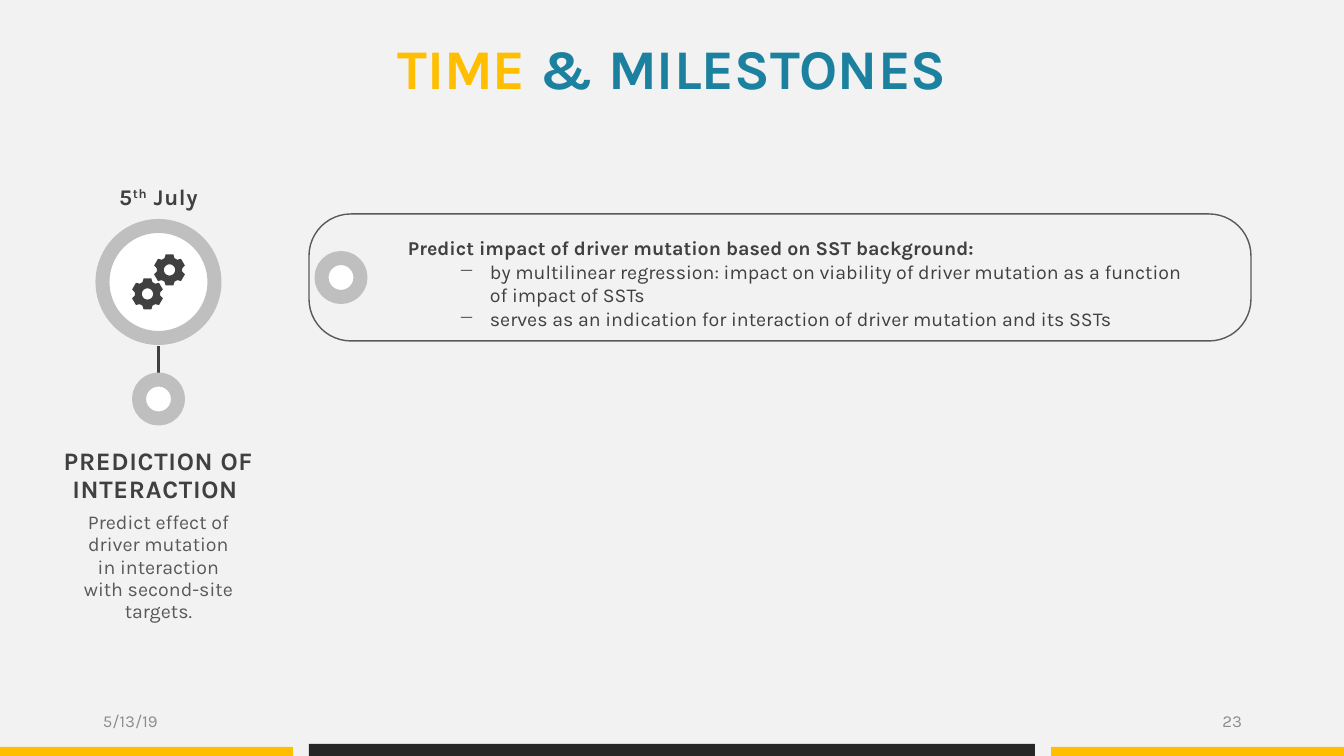
from math import cos, pi, sin

from lxml.etree import SubElement
from pptx import Presentation
from pptx.dml.color import RGBColor
from pptx.enum.shapes import MSO_CONNECTOR, MSO_SHAPE
from pptx.enum.text import MSO_ANCHOR, MSO_AUTO_SIZE, PP_ALIGN
from pptx.oxml.ns import qn
from pptx.util import Pt

EMU_PER_PX = 914400 / 100.8
FONT = "Karla"
YELLOW, TEAL, BLACK = "FFBE00", "1C819E", "262626"
DARK, MEDIUM, PALE, RING = "404040", "595959", "8C8C8C", "BFBFBF"


def px(length):
    return round(length * EMU_PER_PX)


def color(value):
    return RGBColor.from_string(value)


def set_font(paragraph, size, value, bold=False):
    font = paragraph.font
    font.name, font.size, font.bold = FONT, Pt(size), bold
    font.color.rgb = color(value)


def set_frame(shape, anchor=MSO_ANCHOR.TOP):
    frame = shape.text_frame
    frame.word_wrap = True
    frame.auto_size = MSO_AUTO_SIZE.NONE
    frame.vertical_anchor = anchor
    frame.margin_left = frame.margin_right = frame.margin_top = frame.margin_bottom = 0
    return frame


def add_run(paragraph, text, **attributes):
    run = paragraph.add_run()
    run.text = text
    for name, value in attributes.items():
        run._r.get_or_add_rPr().set(name, str(value))
    return run


def add_text(slide, box, anchor=MSO_ANCHOR.TOP):
    return set_frame(slide.shapes.add_textbox(*map(px, box)), anchor)


def add_shape(slide, kind, box, fill=None, line=None, width=1):
    shape = slide.shapes.add_shape(kind, *map(px, box))
    shape.shadow.inherit = False
    if fill:
        shape.fill.solid()
        shape.fill.fore_color.rgb = color(fill)
    else:
        shape.fill.background()
    if line:
        shape.line.color.rgb = color(line)
        shape.line.width = Pt(width)
    else:
        shape.line.fill.background()
    return shape


def add_ring(slide, center_x, center_y, diameter):
    box = (center_x - diameter / 2, center_y - diameter / 2, diameter, diameter)
    add_shape(slide, MSO_SHAPE.OVAL, box, "FFFFFF", RING, 10)


def add_gear(slide, center_x, center_y, radius):
    def point(distance, degrees):
        angle = degrees * pi / 180
        return px(center_x + distance * sin(angle)), px(center_y - distance * cos(angle))

    tooth = [(0.8, -23), (1, -14), (1, 14), (0.8, 23)]
    outline = [point(radius * part, turn + offset)
               for turn in range(0, 360, 60) for part, offset in tooth]
    hole = [point(radius * 0.35, degrees) for degrees in range(360, 0, -10)]
    builder = slide.shapes.build_freeform(*outline[0])
    builder.add_line_segments(outline[1:], close=True)
    builder.move_to(*hole[0])
    builder.add_line_segments(hole[1:], close=True)
    gear = builder.convert_to_shape()
    gear.shadow.inherit = False
    gear.fill.solid()
    gear.fill.fore_color.rgb = color(DARK)
    gear.line.fill.background()


def add_title(slide, box):
    title = slide.shapes.title
    title.left, title.top, title.width, title.height = map(px, box)
    paragraph = set_frame(title).paragraphs[0]
    paragraph.alignment = PP_ALIGN.CENTER
    set_font(paragraph, 40, TEAL, True)
    add_run(paragraph, "TIME ").font.color.rgb = color(YELLOW)
    add_run(paragraph, "& MILESTONES")


def add_footer(slide, left, top, width, height):
    side = 293
    bars = [(left, 747, side, 9, YELLOW), (left + 309, 744, 726, 12, BLACK),
            (left + width - side, 747, side, 9, YELLOW)]
    for *box, fill in bars:
        add_shape(slide, MSO_SHAPE.RECTANGLE, box, fill)
    labels = [("5/13/19", left + 103, PP_ALIGN.LEFT), ("23", left + 960, PP_ALIGN.RIGHT)]
    for text, label_left, alignment in labels:
        paragraph = add_text(slide, (label_left, top, 282, height), MSO_ANCHOR.MIDDLE).paragraphs[0]
        paragraph.alignment = alignment
        set_font(paragraph, 12, PALE)
        add_run(paragraph, text)


def add_milestone(slide, left, top, width):
    center = left + width / 2
    stem = slide.shapes.add_connector(
        MSO_CONNECTOR.STRAIGHT, px(center), px(top + 164), px(center), px(top + 204))
    stem.line.color.rgb = color(DARK)
    stem.line.width = Pt(2)
    SubElement(stem._element.spPr, qn("a:effectLst"))
    add_ring(slide, center, top + 217, 39)
    add_ring(slide, center, top + 100, 112)
    add_gear(slide, center + 11, top + 88, 16)
    add_gear(slide, center - 11, top + 112, 16)

    texts = [
        (110, 0, 26, 16, 20, DARK, True, [("5", {"spc": 50}), ("th", {"spc": 50, "baseline": 30000}),
                                          (" July", {"spc": 50})]),
        (width, 266, 56, 18, 20, DARK, True, [("PREDICTION OF INTERACTION ", {"spc": 50})]),
        (157, 329, 113, 14, 16, MEDIUM, False,
         [("Predict effect of driver mutation in interaction with second-site targets.", {})]),
    ]
    for text_width, offset, height, size, spacing, value, bold, runs in texts:
        box = (center - text_width / 2, top + offset, text_width, height)
        paragraph = add_text(slide, box).paragraphs[0]
        paragraph.alignment = PP_ALIGN.CENTER
        paragraph.line_spacing = Pt(spacing)
        set_font(paragraph, size, value, bold)
        for text, attributes in runs:
            add_run(paragraph, text, **attributes)


def add_detail_panel(slide, left, top, width, height):
    panel = add_shape(slide, MSO_SHAPE.ROUNDED_RECTANGLE, (left, top, width, height), line=MEDIUM)
    panel.adjustments[0] = 0.33
    frame = add_text(slide, (left + 99, top + 10, 778, height - 20), MSO_ANCHOR.MIDDLE)
    heading = frame.paragraphs[0]
    heading.line_spacing = 1.5
    set_font(heading, 14, DARK, True)
    add_run(heading, "Predict impact of driver mutation based on SST background:")
    points = [
        "by multilinear regression: impact on viability of driver mutation as a function of impact of SSTs",
        "serves as an indication for interaction of driver mutation and its SSTs",
    ]
    for text in points:
        paragraph = frame.add_paragraph()
        paragraph.level = 1
        properties = paragraph._p.get_or_add_pPr()
        properties.set("marL", str(px(82)))
        properties.set("indent", str(px(-31)))
        SubElement(properties, qn("a:buChar")).set("char", "−")
        set_font(paragraph, 14, DARK)
        add_run(paragraph, text)
    add_ring(slide, left + 32, top + height / 2, 39)


def main():
    presentation = Presentation()
    presentation.slide_width, presentation.slide_height = px(1344), px(756)
    slide = presentation.slides.add_slide(presentation.slide_layouts[5])
    slide.background.fill.solid()
    slide.background.fill.fore_color.rgb = color("F2F2F2")
    add_title(slide, (79, 33, 1186, 67))
    add_footer(slide, 0, 701, 1344, 40)
    add_milestone(slide, 39, 182, 239)
    add_detail_panel(slide, 309, 214, 942, 127)
    presentation.save("out.pptx")


if __name__ == "__main__":
    main()
